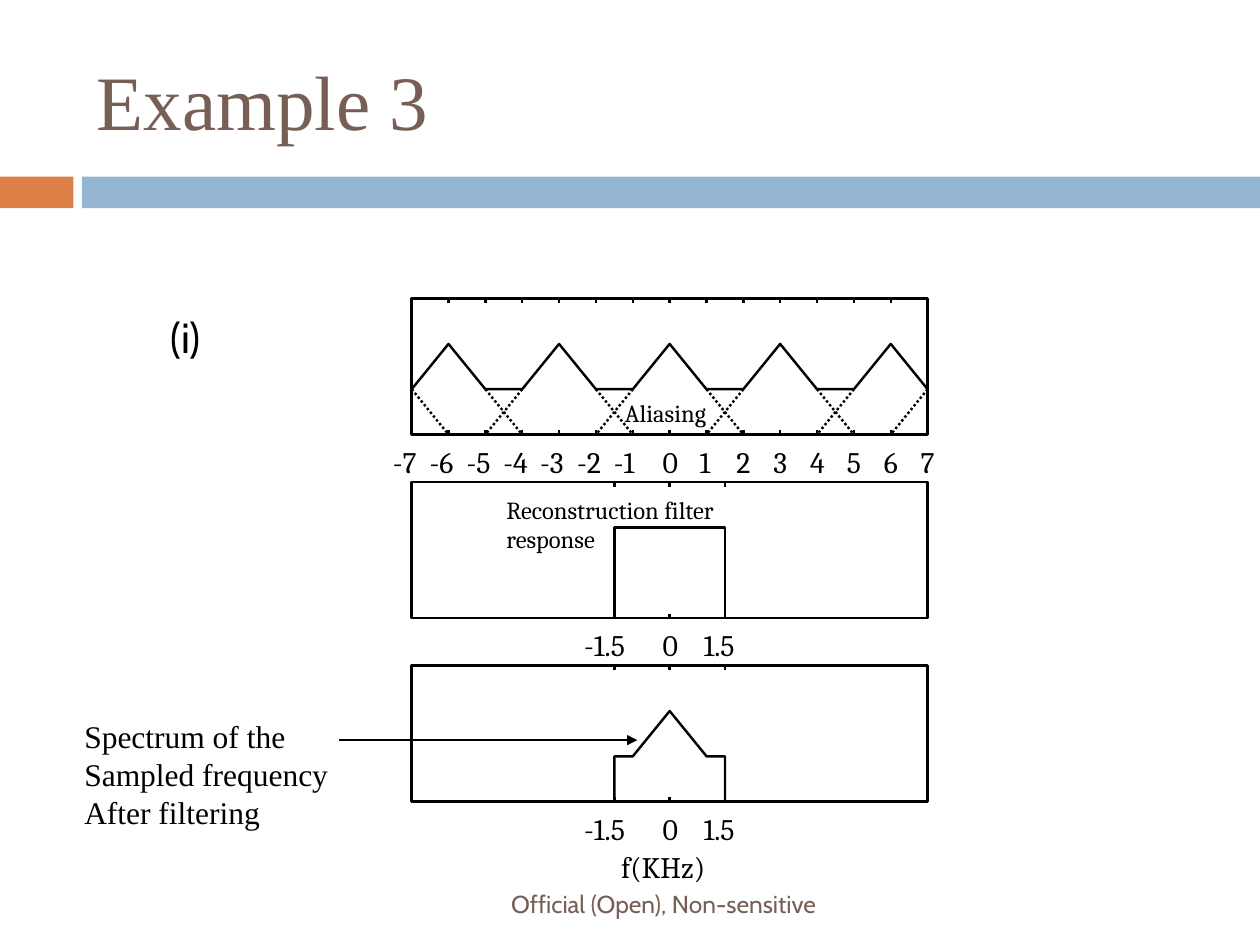
"""Build the Example 3 slide on aliasing and the reconstruction filter."""
from lxml import etree
from pptx import Presentation
from pptx.dml.color import RGBColor
from pptx.enum.dml import MSO_LINE
from pptx.enum.shapes import MSO_CONNECTOR, MSO_SHAPE
from pptx.enum.text import MSO_ANCHOR, PP_ALIGN
from pptx.oxml.ns import qn
from pptx.util import Cm, Pt

RECT, LINE = MSO_SHAPE.RECTANGLE, MSO_CONNECTOR.STRAIGHT
DOTS, MID = MSO_LINE.ROUND_DOT, MSO_ANCHOR.MIDDLE
LEFT, RIGHT = PP_ALIGN.LEFT, PP_ALIGN.RIGHT

THEME = {
    "ink": "000000", "paper": "FFFFFF", "brown": "775F55",
    "orange": "DD8047", "blue": "94B6D2",
    "serif": "Times New Roman", "plot": "Cambria", "sans": "Cabin",
    "title": 44, "mark": 24, "body": 18, "axis": 17, "small": 14,
    "line": 1.38, "arrow": 1.5,
}

TITLE = "Example 3"
BARS = [(0, 1.48, "orange"), (1.65, 23.75, "blue")]
CUTS = [-1.5, 0, 1.5]
PANELS = [list(range(-7, 8)), CUTS, CUTS]
SKIRTS = [(-7, -6), (7, 6)] + [
    pair for v in (-5, -2, 1, 4) for pair in ((v, v + 1), (v + 1, v))]
NOTES = [
    ("Aliasing", (12.6, 8.03, 1.68, 0.58), "plot", "small", False),
    ("Reconstruction filter response", (10.21, 9.98, 5.89, 0.61), "plot", "small", True),
    ("f(KHz)", (12.52, 17.12, 2.11, 0.86), "plot", "axis", False),
]
SPECTRUM = "Spectrum of the\nSampled frequency\nAfter filtering"
FOOTER = "Official (Open), Non-sensitive"

ZERO, UNIT = 13.5, 5.2 / 7
TOP, PITCH, HIGH, TICK = 6.02, 3.7, 2.74, 0.09
LABELS = {1: (0.14, 0.56), 2: (0.38, 0.79), 3: (0.43, 1.04), 4: (0.61, 1.27)}


def tint(name):
    return RGBColor.from_string(THEME[name])


def at_x(value):
    return ZERO + value * UNIT


def at_y(row, part):
    return TOP + row * PITCH + part * HIGH


def stroke(line, size="line"):
    line.color.rgb = tint("ink")
    line.width = Pt(THEME[size])


def style(frame, face, size, color="ink", align=LEFT):
    for para in frame.paragraphs:
        para.alignment = align
        for run in para.runs:
            run.font.name = THEME[face]
            run.font.size = Pt(THEME[size])
            run.font.color.rgb = tint(color)


def add_text(slide, text, box, face, size, wrap=False, inset=None):
    frame = slide.shapes.add_textbox(*map(Cm, box)).text_frame
    frame.word_wrap = wrap
    if inset is not None:
        frame.margin_left = frame.margin_right = Cm(inset)
        frame.margin_top = frame.margin_bottom = Cm(inset)
    frame.text = text
    style(frame, face, size)
    return frame


def add_rect(slide, box, fill=None):
    rect = slide.shapes.add_shape(RECT, *map(Cm, box))
    rect.shadow.inherit = False
    if fill:
        rect.fill.solid()
        rect.fill.fore_color.rgb = tint(fill)
    else:
        rect.fill.background()
    return rect


def add_line(slide, x1, y1, x2, y2, size="line"):
    link = slide.shapes.add_connector(LINE, Cm(x1), Cm(y1), Cm(x2), Cm(y2))
    stroke(link.line, size)
    etree.SubElement(link._element.spPr, qn("a:effectLst"))
    return link


def add_curve(slide, row, points):
    spots = [(Cm(at_x(v)), Cm(at_y(row, part))) for v, part in points]
    pen = slide.shapes.build_freeform(*spots[0])
    pen.add_line_segments(spots[1:], close=False)
    curve = pen.convert_to_shape()
    curve.shadow.inherit = False
    curve.fill.background()
    stroke(curve.line)


def add_panel(slide, row, values):
    top, base = at_y(row, 0), at_y(row, 1)
    stroke(add_rect(slide, (at_x(-7), top, 14 * UNIT, HIGH), "paper").line)
    for value in values:
        x, text = at_x(value), str(value)
        add_line(slide, x, base, x, base - TICK)
        add_line(slide, x, top, x, top + TICK)
        shift, wide = LABELS[len(text)]
        add_text(slide, text, (x - shift, base + 0.18, wide, 0.86), "plot", "axis", inset=0)


def add_frame(slide):
    for left, wide, fill in BARS:
        add_rect(slide, (left, 3.56, wide, 0.64), fill).line.fill.background()
    title = slide.shapes.title
    title.left, title.top, title.width, title.height = map(Cm, (1.7, 0.64, 22.66, 2.74))
    title.text_frame.text = TITLE
    title.text_frame.vertical_anchor = MID
    style(title.text_frame, "serif", "title", "brown")


def add_plots(slide):
    for row, values in enumerate(PANELS):
        add_panel(slide, row, values)
    add_curve(slide, 0, [(v, 2 / 3 if v % 3 else 1 / 3) for v in PANELS[0]])
    for start, end in SKIRTS:
        skirt = add_line(slide, at_x(start), at_y(0, 2 / 3), at_x(end), at_y(0, 1))
        skirt.line.dash_style = DOTS
    stroke(add_rect(slide, (at_x(-1.5), at_y(1, 1 / 3), 3 * UNIT, HIGH * 2 / 3)).line)
    add_curve(slide, 2, [(-1.5, 1), (-1.5, 2 / 3), (-1, 2 / 3), (0, 1 / 3),
                         (1, 2 / 3), (1.5, 2 / 3), (1.5, 1)])


def add_notes(slide):
    for text, box, face, size, wrap in NOTES:
        add_text(slide, text, box, face, size, wrap, 0)
    add_text(slide, "(i)", (3.18, 6.15, 1.7, 1.27), "sans", "mark", True)
    add_text(slide, SPECTRUM, (1.45, 14.33, 5.49, 2.57), "serif", "body")
    arrow = add_line(slide, 6.83, 14.92, 12.85, 14.92, "arrow")
    etree.SubElement(arrow.line._get_or_add_ln(), qn("a:tailEnd"), type="triangle")
    foot = add_text(slide, FOOTER, (1.65, 17.7, 15.06, 1.02), "sans", "small", True)
    foot.vertical_anchor = MID
    style(foot, "sans", "small", "brown", RIGHT)


def main():
    deck = Presentation()
    deck.slide_width, deck.slide_height = Cm(25.4), Cm(19.05)
    slide = deck.slides.add_slide(deck.slide_layouts[5])
    add_frame(slide)
    add_plots(slide)
    add_notes(slide)
    deck.save("out.pptx")


if __name__ == "__main__":
    main()
